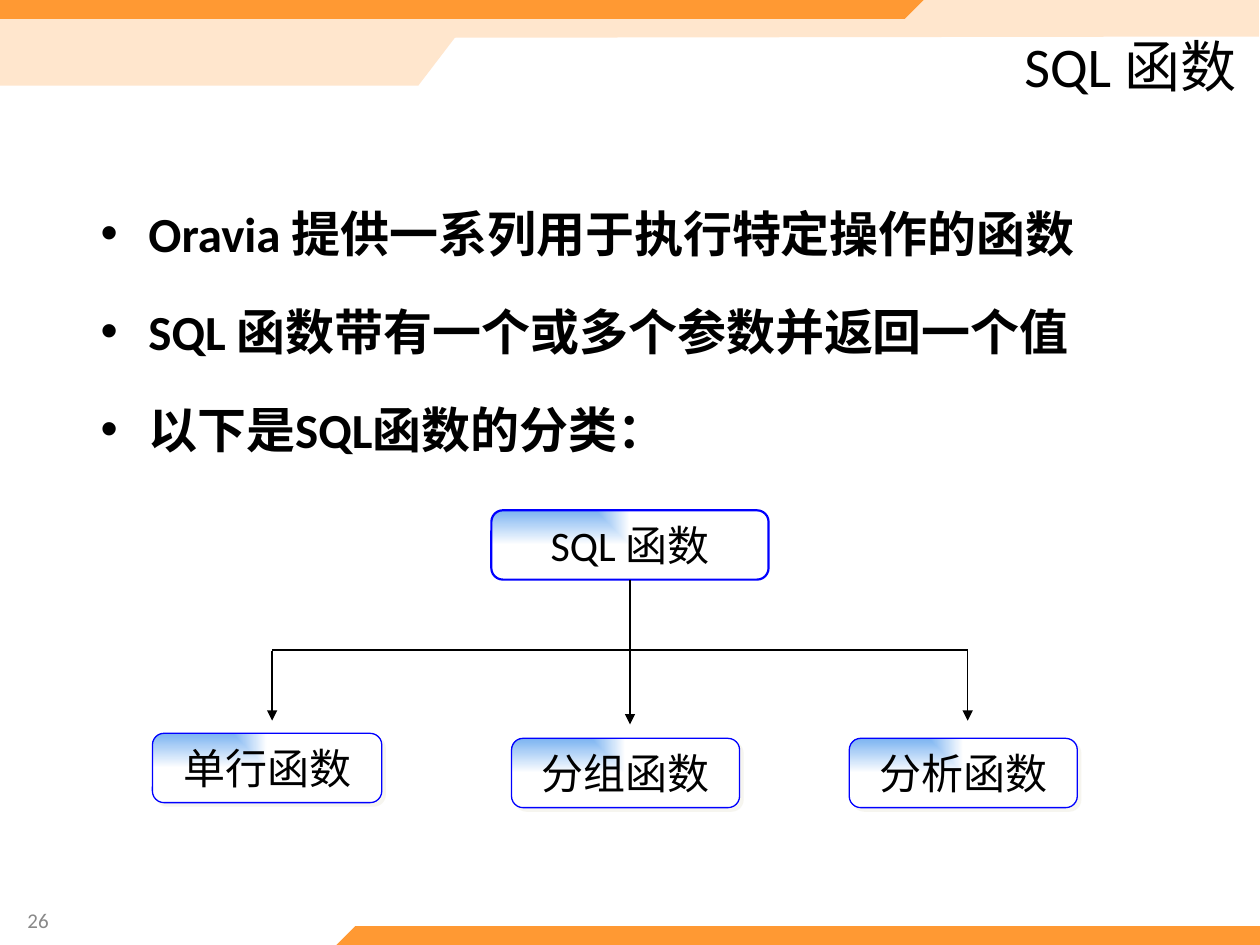
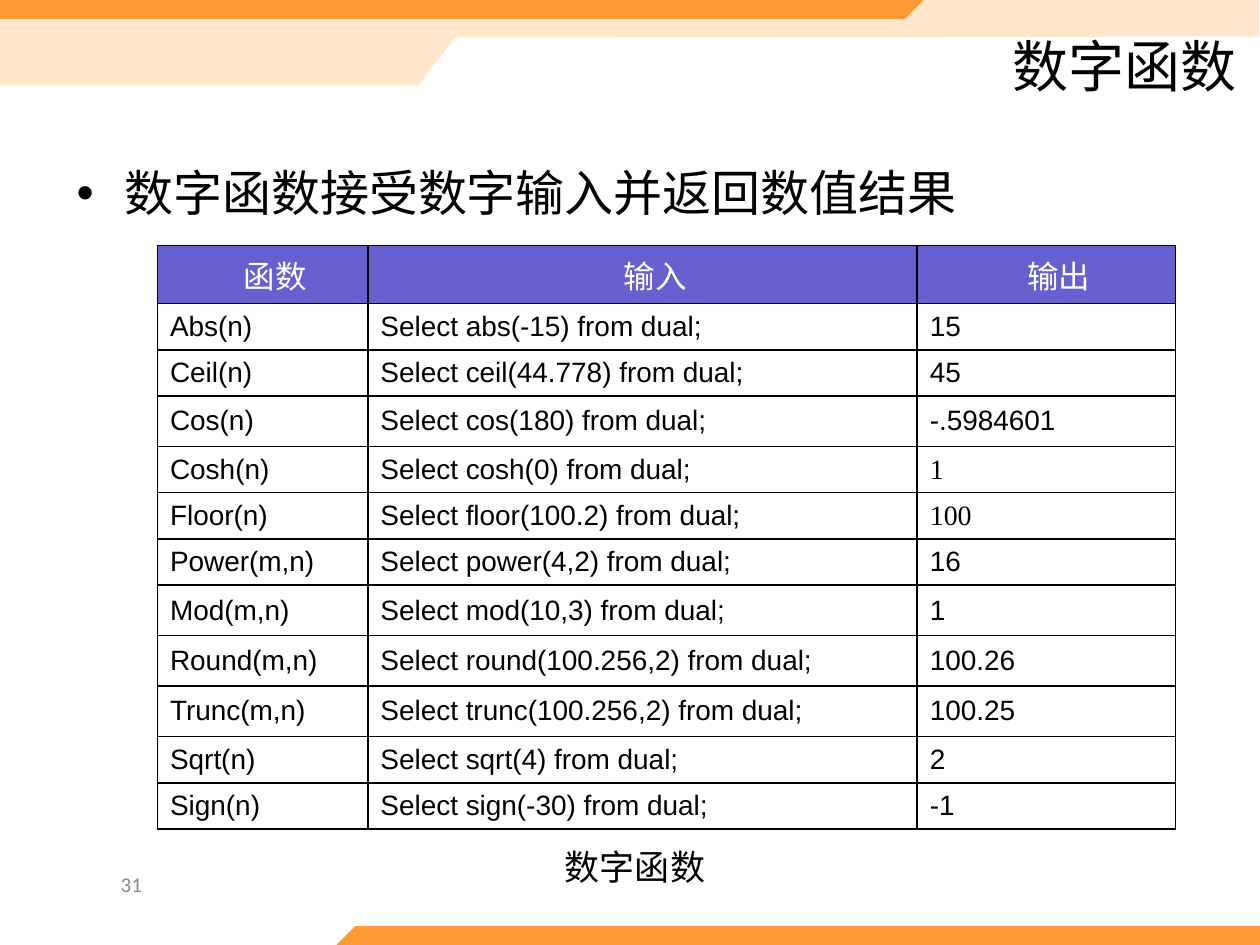
from pptx import Presentation
from pptx.dml.color import RGBColor
from pptx.enum.shapes import MSO_CONNECTOR as Line, MSO_SHAPE as Preset
from pptx.enum.text import MSO_ANCHOR as Anchor, PP_ALIGN as Align
from pptx.oxml import parse_xml
from pptx.oxml.ns import nsdecls, qn
from pptx.util import Inches, Pt

ORANGE, PEACH, BLUE, PURPLE = "FF9933", "FFE6CD", "0000FF", "6760CF"
BLACK, WHITE, GREY = "000000", "FFFFFF", "898989"
NS = nsdecls("a")


def color(hex_code):
    return RGBColor.from_string(hex_code)


def write(frame, lines, size, ink=BLACK, font="Calibri", align=Align.LEFT,
          bold=False, bullets=False):
    frame.text = "\n".join(lines)
    for paragraph in frame.paragraphs:
        paragraph.alignment = align
        if bullets:
            paragraph.line_spacing = 1.5
            paragraph.space_before = Pt(size * 0.2)
            props = paragraph._p.get_or_add_pPr()
            props.set("marL", str(Inches(0.38)))
            props.set("indent", str(Inches(-0.38)))
            props.append(parse_xml(f'<a:buFont {NS} typeface="Arial"/>'))
            props.append(parse_xml(f'<a:buChar {NS} char="•"/>'))
        for run in paragraph.runs:
            run.font.size = Pt(size)
            run.font.name = font
            run.font.bold = bold
            run.font.color.rgb = color(ink)


prs = Presentation()
prs.slide_width, prs.slide_height = Inches(10), Inches(7.5)

bands = [
    (PEACH, [(9.99, 0), (0, 0), (0, 0.68), (3.32, 0.68), (3.61, 0.3), (9.99, 0.29)]),
    (ORANGE, [(7.33, 0), (7.18, 0.15), (0, 0.15), (0, 0)]),
    (ORANGE, [(2.67, 7.5), (2.82, 7.35), (10, 7.35), (10, 7.5)]),
]
pages = [
    ("SQL 函数", "26", (0.12, 7.1, 1.44, 0.4), (0.7, 1.33, 9, 1.66), True,
     ["Oravia 提供一系列用于执行特定操作的函数",
      "SQL 函数带有一个或多个参数并返回一个值",
      "以下是SQL函数的分类："]),
    ("数字函数", "31", (0.86, 6.9, 2.33, 0.24), (0.51, 1.01, 9, 1.34), False,
     ["数字函数接受数字输入并返回数值结果"]),
]

for title, number, number_at, body_at, bold, points in pages:
    slide = prs.slides.add_slide(prs.slide_layouts[6])
    for tint, corners in bands:
        corners = [(Inches(x), Inches(y)) for x, y in corners]
        outline = slide.shapes.build_freeform(*corners[0], scale=1.0)
        outline.add_line_segments(corners[1:], close=True)
        band = outline.convert_to_shape()
        band.shadow.inherit = False
        band.fill.solid()
        band.fill.fore_color.rgb = color(tint)
        band.line.fill.background()
    for lines, at, anchor, style in [
        ([title], (4.06, 0.28, 5.85, 0.47), Anchor.MIDDLE,
         {"size": 32, "align": Align.RIGHT}),
        ([number], number_at, Anchor.MIDDLE, {"size": 12, "ink": GREY}),
        (points, body_at, Anchor.TOP, {"size": 28, "bold": bold, "bullets": True}),
    ]:
        frame = slide.shapes.add_textbox(*map(Inches, at)).text_frame
        frame.word_wrap = True
        frame.vertical_anchor = anchor
        write(frame, lines, **style)

overview, numeric = prs.slides

categories = [
    ("SQL 函数", 3.9, 4.05, 2.2, 1.25),
    ("单行函数", 1.21, 5.82, 1.82, 0.75),
    ("分组函数", 4.06, 5.86, 1.81, 0.75),
    ("分析函数", 6.74, 5.86, 1.81, 0.75),
]
nodes = []
for label, left, top, width, weight in categories:
    node = overview.shapes.add_shape(
        Preset.ROUNDED_RECTANGLE, *map(Inches, (left, top, width, 0.55)))
    node.line.color.rgb = color(BLUE)
    node.line.width = Pt(weight)
    node.shadow.inherit = False
    props = node._element.spPr
    props.insert(2, parse_xml(
        f'<a:gradFill {NS} rotWithShape="1"><a:gsLst>'
        '<a:gs pos="0"><a:srgbClr val="7BB3F1"/></a:gs>'
        '<a:gs pos="100000"><a:srgbClr val="FFFFFF"/></a:gs></a:gsLst>'
        '<a:path path="rect"><a:fillToRect r="100000" b="100000"/></a:path>'
        '</a:gradFill>'))
    if nodes:
        props.find(qn("a:effectLst")).append(parse_xml(
            f'<a:outerShdw {NS} dist="35560" dir="2700000" algn="ctr">'
            '<a:srgbClr val="EEECE1"><a:alpha val="50000"/></a:srgbClr>'
            '</a:outerShdw>'))
    node.text_frame.word_wrap = False
    node.text_frame.vertical_anchor = Anchor.MIDDLE
    write(node.text_frame, [label], 24, align=Align.CENTER)
    nodes.append(node)

branches = [
    (5, 4.6, 5, 5.15, False),
    (2.16, 5.16, 7.68, 5.16, False),
    (2.16, 5.17, 2.16, 5.72, True),
    (5, 5.15, 5, 5.75, True),
    (7.68, 5.17, 7.68, 5.72, True),
]
for index, (*ends, arrow) in enumerate(branches):
    branch = overview.shapes.add_connector(Line.STRAIGHT, *map(Inches, ends))
    branch.line.color.rgb = color(BLACK)
    branch.line.width = Pt(0.75)
    props = branch._element.spPr
    props.append(parse_xml(f"<a:effectLst {NS}/>"))
    if arrow:
        props.find(qn("a:ln")).append(parse_xml(f'<a:tailEnd {NS} type="triangle"/>'))
    if index == 0:
        branch.begin_connect(nodes[0], 2)

functions = [
    ("函数", "输入", "输出", 0.46),
    ("Abs(n)", "Select abs(-15) from dual;", "15", 0.35),
    ("Ceil(n)", "Select ceil(44.778) from dual;", "45", 0.35),
    ("Cos(n)", "Select cos(180) from dual;", "-.5984601", 0.4),
    ("Cosh(n)", "Select cosh(0) from dual;", "1", 0.35),
    ("Floor(n)", "Select floor(100.2) from dual;", "100", 0.35),
    ("Power(m,n)", "Select power(4,2) from dual;", "16", 0.35),
    ("Mod(m,n)", "Select mod(10,3) from dual;", "1", 0.4),
    ("Round(m,n)", "Select round(100.256,2) from dual;", "100.26", 0.4),
    ("Trunc(m,n)", "Select trunc(100.256,2) from dual;", "100.25", 0.4),
    ("Sqrt(n)", "Select sqrt(4) from dual;", "2", 0.37),
    ("Sign(n)", "Select sign(-30) from dual;", "-1", 0.35),
]
examples = numeric.shapes.add_table(
    len(functions), 3, *map(Inches, (1.25, 1.95, 8.08, 4.53))).table
examples.first_row = examples.horz_banding = False
for column, width in zip(examples.columns, (1.67, 4.36, 2.05)):
    column.width = Inches(width)
for r, (*texts, height) in enumerate(functions):
    examples.rows[r].height = Inches(height)
    for c, text in enumerate(texts):
        cell = examples.cell(r, c)
        cell.vertical_anchor = Anchor.MIDDLE
        if r == 0:
            cell.margin_left = Inches(0.3)
            cell.fill.solid()
            cell.fill.fore_color.rgb = color(PURPLE)
            write(cell.text_frame, [text], 18, WHITE, "Arial", Align.CENTER)
        else:
            cell.fill.background()
            serif = c == 2 and texts[0] in ("Cosh(n)", "Floor(n)")
            write(cell.text_frame, [text], 16,
                  font="Times New Roman" if serif else "Arial")
        for position, side in enumerate("LRTB"):
            cell._tc.get_or_add_tcPr().insert(position, parse_xml(
                f'<a:ln{side} {NS} w="12700"><a:solidFill>'
                f'<a:srgbClr val="{BLACK}"/></a:solidFill></a:ln{side}>'))

caption = numeric.shapes.add_textbox(*map(Inches, (3.03, 6.66, 4.02, 0.43))).text_frame
caption.word_wrap = True
write(caption, ["数字函数"], 20, align=Align.CENTER)

prs.save("out.pptx")
